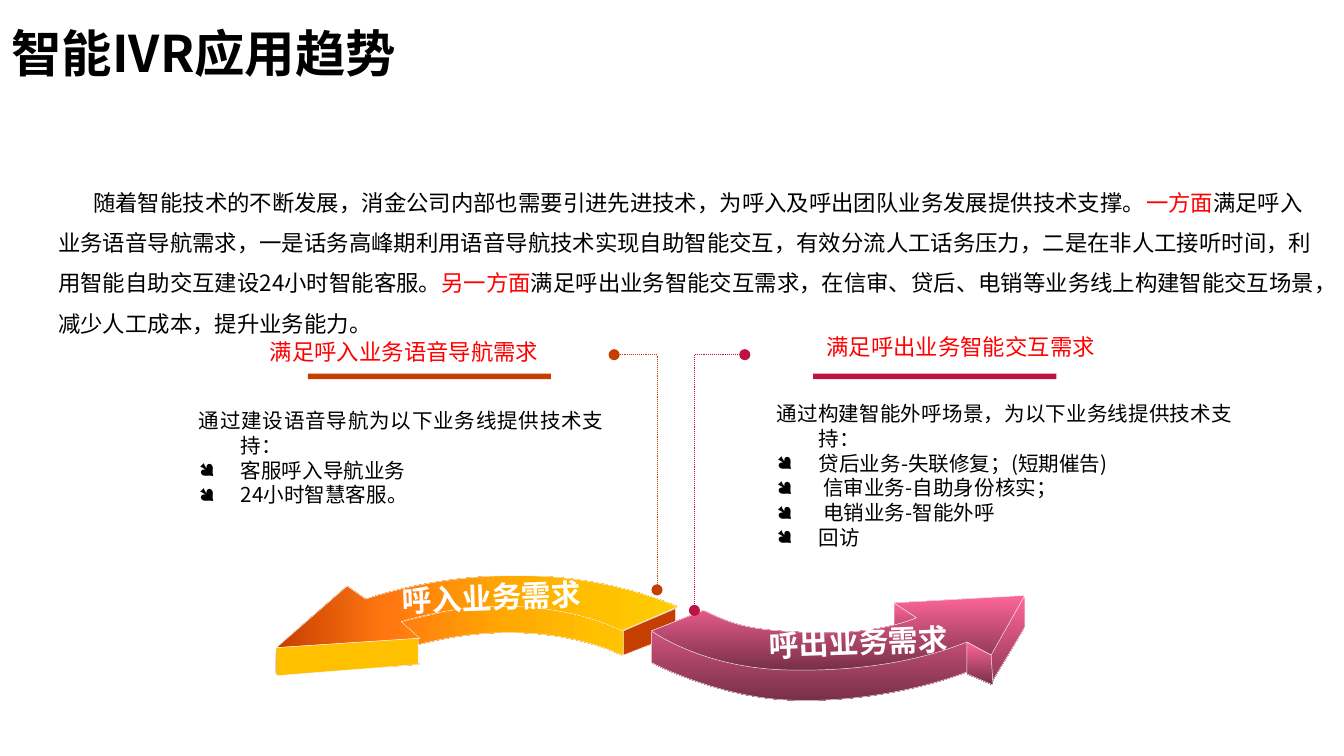
from lxml import etree
from pptx import Presentation
from pptx.dml.color import RGBColor
from pptx.enum import dml, shapes as sh, text as tx
from pptx.oxml.ns import qn
from pptx.util import Pt

BLACK = RGBColor(0, 0, 0)
WHITE = RGBColor(255, 255, 255)
RED = RGBColor(255, 0, 0)
RUST = RGBColor(0xC7, 0x3E, 0x01)
AMBER = RGBColor(0xFF, 0xC0, 0x00)
ROSE = RGBColor(0xBE, 0x12, 0x47)
EDGE = RGBColor(0xF7, 0xF5, 0xF3)
FLAME = [(0, RUST), (27, RGBColor(0xFF, 0x77, 0x11)), (59, RGBColor(0xFF, 0xAA, 0x01)),
         (80, AMBER), (100, RGBColor(0xFE, 0xCE, 0x02))]
PINK = [(0, RGBColor(0xFF, 0x66, 0x99)), (100, RGBColor(0x74, 0x2E, 0x45))]
SANS = "Noto Sans CJK SC"

deck = Presentation()
deck.slide_width, deck.slide_height = Pt(720), Pt(405)
slide = deck.slides.add_slide(deck.slide_layouts[6])
shapes = slide.shapes


def outline(path, close=True):
    """Draw a path of points; a step of six numbers is a Bezier curve."""
    pts = [step[i:i + 2] for step in path for i in range(0, len(step), 2)]
    pen = shapes.build_freeform(*pts[0], scale=Pt(1))
    pen.add_line_segments(pts[1:], close=close)
    form = pen.convert_to_shape()
    form.shadow.inherit = False
    # Join the three points of each curve into one Bezier segment
    lines = iter(form._element.findall(".//" + qn("a:lnTo")))
    for step in path[1:]:
        line = next(lines)
        if len(step) == 6:
            line.tag = qn("a:cubicBezTo")
            for _ in range(2):
                extra = next(lines)
                line.append(extra[0])
                extra.getparent().remove(extra)
    return form


def write(box, paras, size, color, font=SANS, bold=False, align=None):
    """Add a text box; each paragraph is a list of (text, color) runs."""
    area = shapes.add_textbox(*[Pt(v) for v in box])
    frame = area.text_frame
    frame.word_wrap = True
    frame.auto_size = tx.MSO_AUTO_SIZE.SHAPE_TO_FIT_TEXT
    for i, runs in enumerate(paras):
        para = frame.paragraphs[0] if i == 0 else frame.add_paragraph()
        para.alignment = align
        for words, tint in runs:
            run = para.add_run()
            run.text = words
            run.font.size, run.font.bold = Pt(size), bold
            run.font.color.rgb = tint or color
            run.font.name = font
            if font == SANS:
                etree.SubElement(run.font._element, qn("a:ea"), typeface=font)
    return area


# Opening paragraph
intro = write((24.1, 90.4, 689, 94.3), [[
    ("随着智能技术的不断发展，消金公司内部也需要引进先进技术，为呼入及呼出团队业务发展提供技术支撑。", None),
    ("一方面", RED),
    ("满足呼入业务语音导航需求，一是话务高峰期利用语音导航技术实现自助智能交互，有效分流人工话务压力，"
     "二是在非人工接听时间，利用智能自助交互建设24小时智能客服。", None),
    ("另一方面", RED),
    ("满足呼出业务智能交互需求，在信审、贷后、电销等业务线上构建智能交互场景，减少人工成本，提升业务能力。", None),
]], 12, BLACK)
lead = intro.text_frame.paragraphs[0]
lead.line_spacing = 1.5
lead._p.get_or_add_pPr().set("indent", str(Pt(18.8)))

# Block arrows: faces from back to front, each with its fill
left = [
    (FLAME, [(362.9, 339.8), (333.4, 351.4), (333.4, 351.4, 285.8, 326.2, 215.3, 347.8),
             (218.2, 350.6, 221.8, 353.5, 224.6, 356.4),
             (147.6, 361.4, 161.3, 360, 147.6, 361.4),
             (146.9, 361.4, 148.3, 347, 148.3, 347),
             (164.9, 344.9, 159.8, 336.2, 195.8, 335.5),
             (231.1, 334.1, 278.6, 303.8, 362.9, 339.8)]),
    (FLAME, [(362.9, 325.4), (333.4, 337.7, 333.4, 337.7, 333.4, 337.7),
             (333.4, 337.7, 285.8, 312.5, 214.6, 333.4),
             (224.6, 342, 224.6, 342, 224.6, 342), (147.6, 347, 147.6, 347, 147.6, 347),
             (185.8, 313.9, 185.8, 313.9, 185.8, 313.9),
             (195.8, 321.1, 195.8, 321.1, 195.8, 321.1),
             (195.8, 321.1, 278.6, 290.2, 362.9, 325.4)]),
    (AMBER, [(223.9, 342), (223.9, 356.4), (147.6, 362.2), (147.6, 347), (223.9, 342)]),
    (RUST, [(334.1, 337.7), (334.1, 351.4), (362.2, 339.8), (362.2, 326.2), (334.1, 337.7)]),
]
right = [
    (PINK, [(478.8, 323.3), (478.8, 342.7), (492.5, 349.9), (491.8, 331.2), (478.8, 323.3)]),
    (PINK, [(349.2, 337.7), (349.2, 355, 349.2, 355, 349.2, 355),
            (349.2, 355, 383, 373, 421.2, 375.1),
            (459.4, 376.6, 498.2, 367.9, 518.4, 360),
            (522.7, 362.2, 531.4, 367.2, 531.4, 366.5),
            (531.4, 366.5, 542.2, 348.5, 548.6, 336.2),
            (548.6, 336.2, 549.4, 319, 549.4, 319.7),
            (525.6, 326.2, 488.2, 334.8, 478.1, 339.1),
            (468.7, 344.2, 486.7, 344.2, 491, 347),
            (491, 347, 461.5, 356.4, 437.8, 355),
            (414, 353.5, 366.5, 347, 349.2, 337.7)]),
    (PINK, [(377.3, 326.9), (349.2, 337.7, 349.2, 337.7, 349.2, 337.7),
            (349.2, 337.7, 375.8, 357.8, 421.9, 359.3),
            (467.3, 360, 498.2, 352.1, 517.7, 344.2),
            (531.4, 350.6, 531.4, 350.6, 531.4, 350.6),
            (549.4, 319, 549.4, 319, 549.4, 319),
            (478.8, 323.3, 478.8, 323.3, 478.8, 323.3),
            (491, 331.2, 491, 331.2, 491, 331.2),
            (491, 331.2, 470.9, 339.8, 438.5, 339.1),
            (405.4, 338.4, 394.6, 336.2, 377.3, 326.9)]),
    (PINK, [(517.7, 344.2), (518.4, 360.7), (532.1, 367.2), (531.4, 350.6), (517.7, 344.2)]),
]
for faces, angle in ((left, 0), (right, 270)):
    parts = []
    for paint, path in faces:
        face = outline(path)
        face.line.color.rgb, face.line.width = EDGE, Pt(0.25)
        if isinstance(paint, list):
            face.fill.gradient()
            face.fill.gradient_angle = angle
            stops = face._element.spPr.find(".//" + qn("a:gsLst"))
            for old in list(stops):
                stops.remove(old)
            for pos, tint in paint:
                stop = etree.SubElement(stops, qn("a:gs"), pos=str(pos * 1000))
                etree.SubElement(stop, qn("a:srgbClr"), val=str(tint))
        else:
            face.fill.solid()
            face.fill.fore_color.rgb = paint
        parts.append(face)
    shapes.add_group_shape(parts)

# Dotted leaders with round ends
for x, foot, end, tint in ((352.1, 315.7, 329.2, RUST), (372.5, 327.1, 398.7, ROSE)):
    leader = outline([(x, foot), (x, 190.1), (end, 190.1)], close=False)
    leader.fill.background()
    leader.line.color.rgb, leader.line.width = tint, Pt(0.5)
    leader.line.dash_style = dml.MSO_LINE.ROUND_DOT
    for tag in ("a:headEnd", "a:tailEnd"):
        etree.SubElement(leader.line._get_or_add_ln(), qn(tag), type="oval")

# Detail lists with their underlines
lists = [
    ((99.4, 215.3, 231.1, 60.5), 164.9, RUST,
     ["通过建设语音导航为以下业务线提供技术支持：", "客服呼入导航业务", "24小时智慧客服。"]),
    ((409, 211.5, 258.3, 100.8), 435.6, ROSE,
     ["通过构建智能外呼场景，为以下业务线提供技术支持：", "贷后业务-失联修复；(短期催告)",
      " 信审业务-自助身份核实；", " 电销业务-智能外呼", "回访"]),
]
for box, x, tint, items in lists:
    area = write(box, [[(item, None)] for item in items], 11, BLACK,
                 align=tx.PP_ALIGN.JUSTIFY)
    for i, para in enumerate(area.text_frame.paragraphs):
        props = para._p.get_or_add_pPr()
        props.set("marL", str(Pt(22.5)))
        props.set("indent", str(Pt(-22.5)))
        if i:
            etree.SubElement(props, qn("a:buFont"), typeface="Wingdings")
            etree.SubElement(props, qn("a:buChar"), char="●")
    bar = shapes.add_shape(sh.MSO_SHAPE.RECTANGLE, Pt(x), Pt(200.2), Pt(130.3), Pt(2.9))
    bar.shadow.inherit = False
    bar.fill.solid()
    bar.fill.fore_color.rgb = tint
    bar.line.fill.background()

# List headings
for box, words in (((137.5, 177.4, 169.9, 21.6), "满足呼入业务语音导航需求"),
                   ((435.6, 175, 162.7, 21.6), "满足呼出业务智能交互需求")):
    write(box, [[(words, None)]], 12, RED, "Arial", align=tx.PP_ALIGN.JUSTIFY)

# Arrow labels
for x, y, words in ((208.5, 306.2, "呼入业务需求"), (405, 330.2, "呼出业务需求")):
    write((x, y, 132.5, 26.6), [[(words, None)]], 16, WHITE, bold=True).rotation = 357.8

# Title
title = write((0, 0, 648, 47.5), [[("智能IVR应用趋势", None)]], 27, BLACK, bold=True)
frame = title.text_frame
frame.auto_size = tx.MSO_AUTO_SIZE.NONE
frame.vertical_anchor = tx.MSO_ANCHOR.BOTTOM
frame.margin_left = frame.margin_right = Pt(6.2)
frame.margin_top = frame.margin_bottom = Pt(2.9)
frame.paragraphs[0].line_spacing = 0.9

deck.save("out.pptx")
